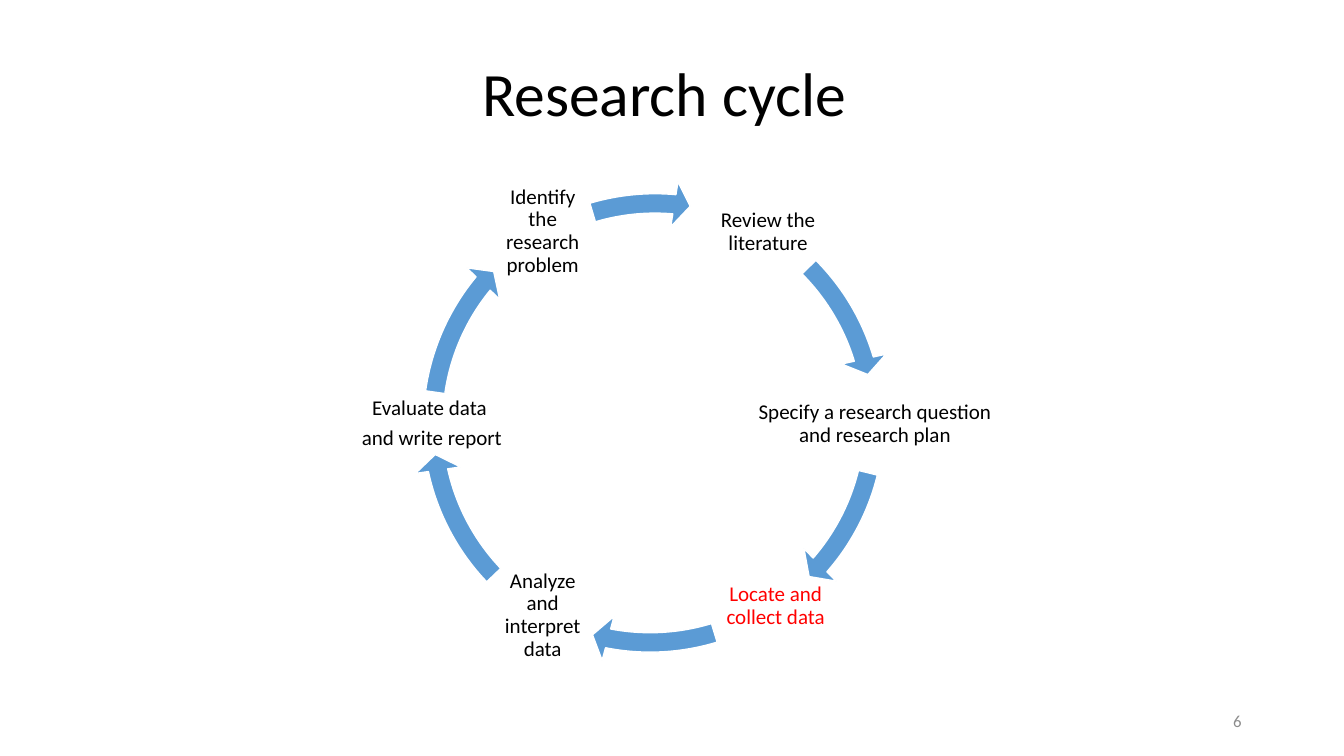
from pptx import Presentation
from pptx.util import Pt
from pptx.dml.color import RGBColor
from pptx.enum.shapes import MSO_SHAPE
from pptx.enum.text import PP_ALIGN, MSO_ANCHOR

COLORS = {"black": "000000", "red": "FF0000", "blue": "5B9BD5",
          "white": "FFFFFF", "gray": "8C8C8C"}


def color(name):
    return RGBColor.from_string(COLORS[name])


def write(box, text, size=15, ink="black", align=PP_ALIGN.CENTER,
          anchor=MSO_ANCHOR.MIDDLE, inset=None, line=None, after=None):
    frame = box.text_frame
    frame.word_wrap = True
    frame.vertical_anchor = anchor
    if inset is not None:
        frame.margin_left = frame.margin_right = Pt(inset)
        frame.margin_top = frame.margin_bottom = Pt(inset)
    frame.text = text
    for para in frame.paragraphs:
        para.alignment = align
        if line:
            para.line_spacing = line
        if after:
            para.space_after = Pt(after)
        font = para.runs[0].font
        font.name, font.size = "Calibri", Pt(size)
        font.color.rgb = color(ink)


deck = Presentation()
deck.slide_width, deck.slide_height = Pt(960), Pt(540)
slide = deck.slides.add_slide(deck.slide_layouts[5])
shapes = slide.shapes

# Title
title = shapes.title
title.left, title.top, title.width, title.height = Pt(125), Pt(35.3), Pt(699), Pt(60.5)
write(title, "Research cycle", size=44, anchor=MSO_ANCHOR.TOP)

# Steps, clockwise: text, colour, label box, then the left, top,
# start and end angle (degrees) of the arrow that leaves the step
steps = [
    ("Identify the research problem", "black", (352, 129.6, 71.3, 71.3),
     (294.5, 129, 253.49, 275)),
    ("Review the literature", "black", (493.2, 142.6, 110.9, 46.8),
     (293, 128.2, 315.11, 343.28)),
    ("Specify a research question and research plan", "black",
     (533.5, 267.1, 182.9, 71.3), (293.8, 126.7, 13.8, 41.09)),
    ("Locate and collect data", "red", (510.5, 412.6, 87.1, 41),
     (290.9, 128.2, 73.04, 101.01)),
    ("Analyze and interpret data", "black", (352, 403.9, 71.3, 71.3),
     (293, 128.9, 136.39, 167.7)),
    ("Evaluate data \nand write report", "black", (234, 280.1, 149, 44.6),
     (293, 128.9, 188.13, 219.44)),
]
RING = 347
for text, ink, area, (left, top, start, end) in steps:
    label = shapes.add_textbox(*map(Pt, area))
    write(label, text, ink=ink, inset=1.5, line=0.9, after=5.25)

    arrow = shapes.add_shape(MSO_SHAPE.CIRCULAR_ARROW, Pt(left), Pt(top), Pt(RING), Pt(RING))
    arrow.shadow.inherit = False
    # Adjustments hold 0.6 per degree
    for i, value in enumerate((0.04, 2.5, end * 0.6, start * 0.6, 0.047)):
        arrow.adjustments[i] = value
    arrow.fill.solid()
    arrow.fill.fore_color.rgb = color("blue")
    arrow.line.color.rgb = color("white")
    arrow.line.width = Pt(1)

# Slide number
number = shapes.add_textbox(Pt(678), Pt(500.5), Pt(216), Pt(28.8))
write(number, "6", size=12, ink="gray", align=PP_ALIGN.RIGHT)

deck.save("out.pptx")
